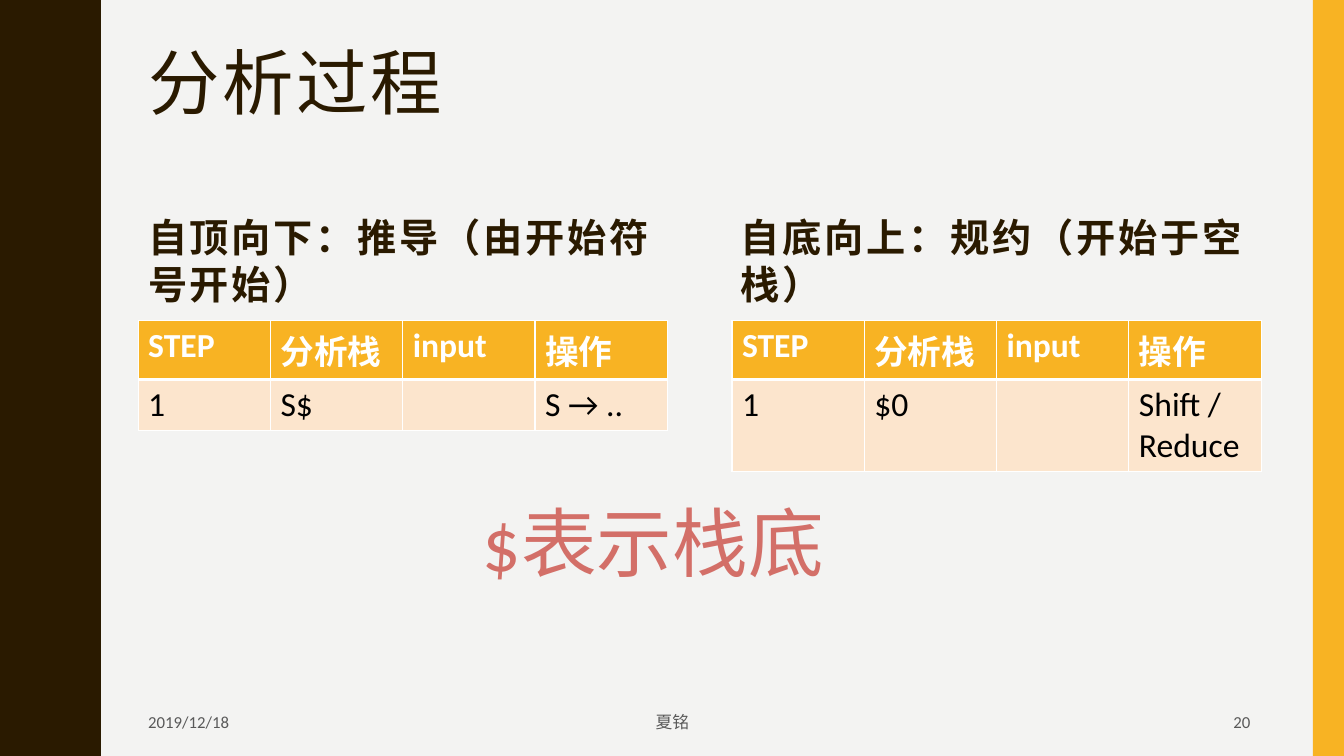
from dataclasses import dataclass

from lxml import etree
from pptx import Presentation
from pptx import util as u
from pptx.dml.color import RGBColor
from pptx.enum import shapes, text
from pptx.oxml import ns

COLORS = {
    "background": "F3F3F2",
    "dark": "2A1A00",
    "gold": "F8B323",
    "peach": "FCE5CD",
    "white": "FFFFFF",
    "black": "000000",
    "gray": "595959",
    "rose": "D36F68",
}
SLIDE_WIDTH, SLIDE_HEIGHT = 13.33, 7.5
WAVE_PERIOD = 1.5
# Left trough to right crest of the wavy edge, as (x, y) in inches
HALF_WAVE = [
    (0.78, 0), (0.78, 0.07), (0.79, 0.14), (0.8, 0.2), (0.81, 0.25),
    (0.83, 0.29), (0.85, 0.33), (0.87, 0.38), (0.89, 0.42), (0.91, 0.46),
    (0.93, 0.5), (0.95, 0.55), (0.96, 0.61), (0.97, 0.68), (0.97, 0.75),
]
TABLE_HEADER = ["STEP", "分析栈", "input", "操作"]
COLUMN_WIDTH, ROW_HEIGHT = 5.25 / len(TABLE_HEADER), 0.41
LEFT, CENTER, RIGHT = text.PP_ALIGN.LEFT, text.PP_ALIGN.CENTER, text.PP_ALIGN.RIGHT
TOP, MIDDLE, BOTTOM = text.MSO_ANCHOR.TOP, text.MSO_ANCHOR.MIDDLE, text.MSO_ANCHOR.BOTTOM


@dataclass
class Label:
    words: str
    left: float
    top: float
    width: float
    height: float
    size: float
    color: str
    align: text.PP_ALIGN = LEFT
    anchor: text.MSO_ANCHOR = TOP
    font: str = "Calibri"
    bold: bool = False
    spacing: int = 0
    line_spacing: float = 1.0
    space_before: int = 0


@dataclass
class ParseTable:
    left: float
    height: float
    step: list[str]


TITLE = Label("分析过程", 1.37, 0.42, 11.12, 1.63, 51, "dark",
              font="Arial Narrow", spacing=2, line_spacing=0.9)
HEADINGS = [
    Label(words, left, 2.41, 5.25, 0.69, 28, "dark", anchor=BOTTOM,
          bold=True, spacing=2, space_before=7)
    for words, left in [
        ("自顶向下：推导（由开始符号开始）", 1.37),
        ("自底向上：规约（开始于空栈）", 7.25),
    ]
]
FOOTERS = [
    Label(words, left, 6.97, width, 0.38, 12, "gray", align, MIDDLE)
    for words, left, width, align in [
        ("2019/12/18", 1.37, 2.55, LEFT),
        ("夏铭", 4.42, 4.5, CENTER),
        ("20", 9.42, 3.08, RIGHT),
    ]
]
STACK_NOTE = Label("$表示栈底", 4.66, 4.87, 3.64, 1.01, 54, "rose", CENTER)
TABLES = [
    ParseTable(7.26, 1.4, ["1", "$0", "", "Shift / Reduce"]),
    ParseTable(1.37, 1.0, ["1", "S$", "", "S → .."]),
]


def rgb(name: str) -> RGBColor:
    return RGBColor.from_string(COLORS[name])


def paint(shape, color: str) -> None:
    shape.fill.solid()
    shape.fill.fore_color.rgb = rgb(color)
    shape.line.fill.background()
    shape.shadow.inherit = False


def style_font(font, size: float, color: str, bold: bool, name: str = "Calibri") -> None:
    font.size, font.bold, font.name = u.Pt(size), bold, name
    font.color.rgb = rgb(color)


def write_label(shape, label: Label) -> None:
    """Place a title or text box and fill it with its formatted words."""
    shape.left, shape.top = u.Inches(label.left), u.Inches(label.top)
    shape.width, shape.height = u.Inches(label.width), u.Inches(label.height)
    frame = shape.text_frame
    frame.text = label.words
    frame.word_wrap = True
    frame.auto_size = text.MSO_AUTO_SIZE.NONE
    frame.vertical_anchor = label.anchor
    paragraph = frame.paragraphs[0]
    paragraph.alignment = label.align
    paragraph.line_spacing = label.line_spacing
    paragraph.space_before = u.Pt(label.space_before)
    font = paragraph.runs[0].font
    style_font(font, label.size, label.color, label.bold, label.font)
    if label.spacing:
        paragraph.runs[0]._r.get_or_add_rPr().set("spc", str(label.spacing * 100))


def draw_wavy_band(slide) -> None:
    period = HALF_WAVE + [(x, WAVE_PERIOD - y) for x, y in HALF_WAVE[-2::-1]]
    edge = [
        (x, y + number * WAVE_PERIOD)
        for number in range(round(SLIDE_HEIGHT / WAVE_PERIOD))
        for x, y in period
    ]
    builder = slide.shapes.build_freeform(0, 0, scale=u.Inches(1))
    builder.add_line_segments(edge + [(0, SLIDE_HEIGHT)], close=True)
    paint(builder.convert_to_shape(), "dark")


def add_borders(cell, top: float, bottom: float) -> None:
    """Give a cell white borders, with the top and bottom widths in points."""
    properties = cell._tc.get_or_add_tcPr()
    for side, width in {"L": 1, "R": 1, "T": top, "B": bottom}.items():
        line = etree.SubElement(properties, ns.qn(f"a:ln{side}"), w=str(u.Pt(width)))
        fill = etree.SubElement(line, ns.qn("a:solidFill"))
        etree.SubElement(fill, ns.qn("a:srgbClr"), val=COLORS["white"])


def draw_table(slide, parse_table: ParseTable) -> None:
    rows = [TABLE_HEADER, parse_table.step]
    frame = slide.shapes.add_table(
        len(rows), len(TABLE_HEADER), u.Inches(parse_table.left), u.Inches(3.18),
        u.Inches(COLUMN_WIDTH * len(TABLE_HEADER)), u.Inches(ROW_HEIGHT * len(rows)))
    for row_number, words in enumerate(rows):
        header = row_number == 0
        for column_number, word in enumerate(words):
            cell = frame.table.cell(row_number, column_number)
            add_borders(cell, top=1 if header else 3, bottom=3 if header else 1)
            cell.fill.solid()
            cell.fill.fore_color.rgb = rgb("gold" if header else "peach")
            cell.text = word
            style_font(cell.text_frame.paragraphs[0].font, 24,
                       "white" if header else "black", header)
            for run in cell.text_frame.paragraphs[0].runs:
                style_font(run.font, 24, "white" if header else "black", header)
    frame.height = u.Inches(parse_table.height)


def main() -> None:
    deck = Presentation()
    deck.slide_width, deck.slide_height = u.Inches(SLIDE_WIDTH), u.Inches(SLIDE_HEIGHT)
    slide = deck.slides.add_slide(deck.slide_layouts[5])
    slide.background.fill.solid()
    slide.background.fill.fore_color.rgb = rgb("background")

    draw_wavy_band(slide)
    gold_band = slide.shapes.add_shape(
        shapes.MSO_SHAPE.RECTANGLE, u.Inches(13.02), 0, u.Inches(0.31), u.Inches(SLIDE_HEIGHT))
    paint(gold_band, "gold")

    write_label(slide.shapes.title, TITLE)
    for parse_table in TABLES:
        draw_table(slide, parse_table)
    for label in [*HEADINGS, *FOOTERS, STACK_NOTE]:
        write_label(slide.shapes.add_textbox(0, 0, 0, 0), label)

    deck.save("out.pptx")


if __name__ == "__main__":
    main()
